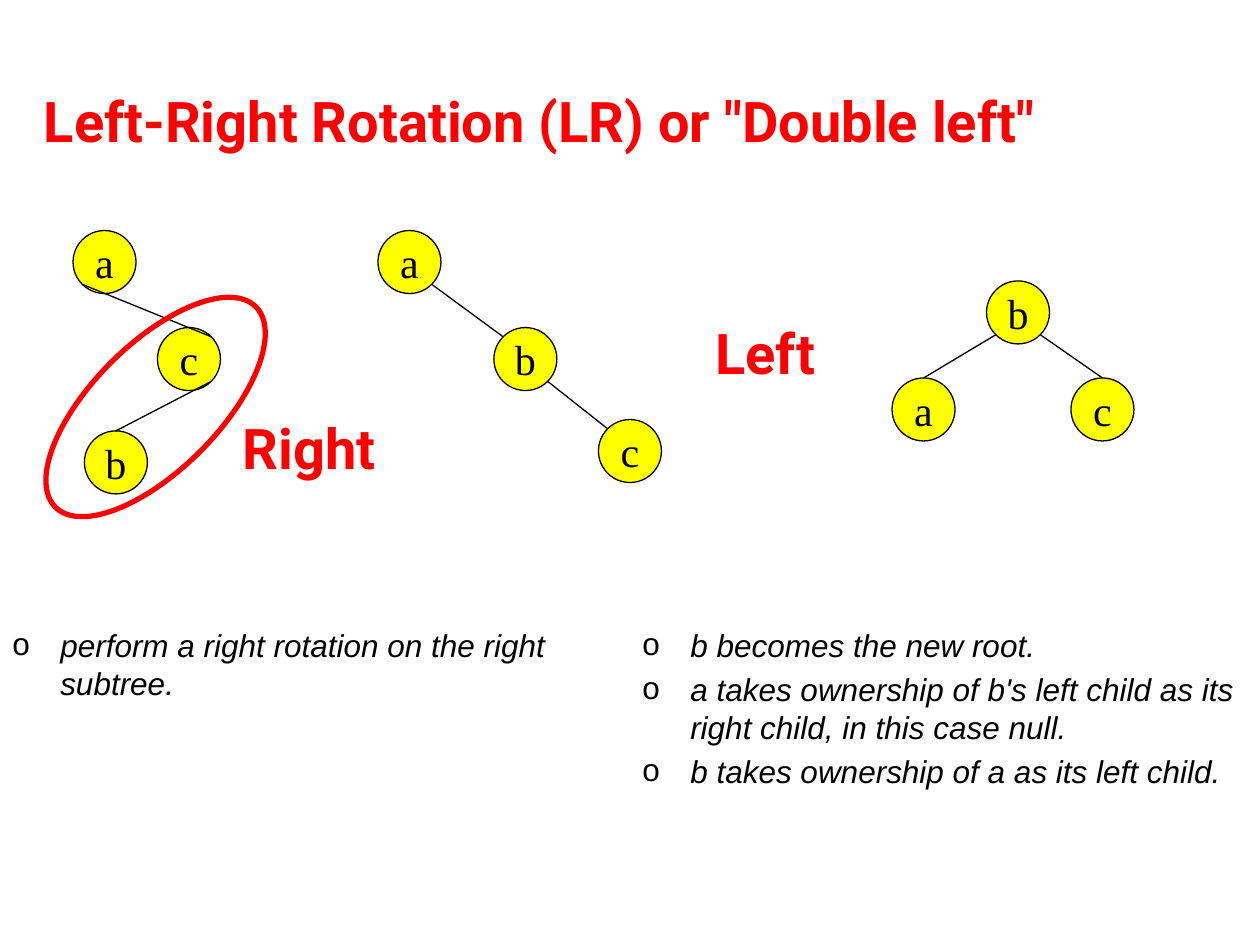
from math import sqrt
from pptx import Presentation
from pptx.dml.color import RGBColor
from pptx.enum.shapes import MSO_CONNECTOR, MSO_SHAPE
from pptx.enum.text import MSO_ANCHOR, PP_ALIGN
from pptx.oxml.ns import qn
from pptx.util import Inches, Pt
from lxml import etree

OVAL, LINE = MSO_SHAPE.OVAL, MSO_CONNECTOR.STRAIGHT
TOP, MIDDLE = MSO_ANCHOR.TOP, MSO_ANCHOR.MIDDLE
LEFT, CENTER, JUSTIFY = PP_ALIGN.LEFT, PP_ALIGN.CENTER, PP_ALIGN.JUSTIFY


class Theme:
    red = RGBColor(255, 0, 0)
    yellow = RGBColor(255, 255, 0)
    black = RGBColor(0, 0, 0)
    # font, size, colour, bold, italic
    head = ("Roboto", 32, red, True, False)
    body = ("Arial", 18, black, False, True)
    node = ("Times New Roman", 24, black, False, False)
    thin, thick = 0.75, 3
    size = 0.5      # node diameter
    indent = 0.38   # hanging indent of a bullet


class Board:
    def __init__(self, slide, theme):
        self.slide, self.theme = slide, theme

    def run(self, par, text, style):
        run = par.add_run()
        run.text = text
        font = run.font
        font.name, size, font.color.rgb, font.bold, font.italic = style
        font.size = Pt(size)

    def box(self, at, anchor):
        frame = self.slide.shapes.add_textbox(*map(Inches, at)).text_frame
        frame.word_wrap = True
        frame.vertical_anchor = anchor
        return frame

    def label(self, text, at, align=LEFT):
        par = self.box(at, MIDDLE).paragraphs[0]
        par.alignment = align
        self.run(par, text, self.theme.head)

    def bullets(self, items, at):
        frame = self.box(at, TOP)
        inset = Inches(self.theme.indent)
        for i, item in enumerate(items):
            par = frame.add_paragraph() if i else frame.paragraphs[0]
            par.space_before = Pt(self.theme.body[1] * 0.2)
            props = par._p.get_or_add_pPr()
            props.set("marL", str(inset))
            props.set("indent", str(-inset))
            etree.SubElement(props, qn("a:buFont")).set("typeface", "Arial")
            etree.SubElement(props, qn("a:buChar")).set("char", "o")
            self.run(par, item, self.theme.body)

    def oval(self, at, color, width, fill=None):
        shape = self.slide.shapes.add_shape(OVAL, *map(Inches, at))
        shape.shadow.inherit = False
        if fill is None:
            shape.fill.background()
        else:
            shape.fill.solid()
            shape.fill.fore_color.rgb = fill
        shape.line.color.rgb = color
        shape.line.width = Pt(width)
        return shape

    def node(self, name, x, y):
        look = self.theme
        shape = self.oval((x, y, look.size, look.size),
                          look.black, look.thin, look.yellow)
        frame = shape.text_frame
        frame.word_wrap = False
        frame.vertical_anchor = MIDDLE
        par = frame.paragraphs[0]
        par.alignment = CENTER
        self.run(par, name, look.node)

    def edge(self, start, end):
        line = self.slide.shapes.add_connector(LINE, *map(Inches, start + end))
        line.line.color.rgb = self.theme.black
        line.line.width = Pt(self.theme.thin)
        etree.SubElement(line._element.spPr, qn("a:effectLst"))

    def rim(self, spot, side):
        """Point on a node's rim in the direction side = (dx, dy)."""
        half = self.theme.size / 2
        scale = half / sqrt(side[0] ** 2 + side[1] ** 2)
        return tuple(p + half + d * scale for p, d in zip(spot, side))

    def tree(self, nodes, edges):
        for name, spot in nodes.items():
            self.node(name, *spot)
        for one, out, two, into in edges:
            self.edge(self.rim(nodes[one], out), self.rim(nodes[two], into))


deck = Presentation()
deck.slide_width, deck.slide_height = Inches(10), Inches(7.5)
board = Board(deck.slides.add_slide(deck.slide_layouts[6]), Theme)

# Title
board.label('Left-Right Rotation (LR) or "Double left"',
            (0.25, 0.58, 9, 0.75), JUSTIFY)

# Trees: before, after the right rotation, after the left rotation
N, NW, NE, SW, SE = (0, -1), (-1, -1), (1, -1), (-1, 1), (1, 1)
TREES = [
    ({"a": (0.58, 1.83), "b": (0.67, 3.42), "c": (1.25, 2.6)},
     [("a", SW, "c", NE), ("c", SE, "b", N)]),
    ({"a": (3, 1.83), "b": (3.92, 2.6), "c": (4.75, 3.33)},
     [("a", SE, "b", NW), ("b", SE, "c", NW)]),
    ({"b": (7.83, 2.23), "a": (7.08, 3), "c": (8.5, 3)},
     [("b", SW, "a", N), ("b", SE, "c", N)]),
]
for nodes, edges in TREES:
    board.tree(nodes, edges)

# Ring round the rotated subtree
ring = board.oval((0.11, 2.73, 2.25, 1), Theme.red, Theme.thick)
ring.rotation = 315

# Rotation names
board.label("Right", (1.83, 3.17, 2.17, 0.75))
board.label("Left", (5.58, 2.42, 2.17, 0.75))

# Steps
STEPS = [
    ["perform a right rotation on the right subtree."],
    ["b becomes the new root.",
     "a takes ownership of b's left child as its right child, "
     "in this case null.",
     "b takes ownership of a as its left child."],
]
for i, items in enumerate(STEPS):
    board.bullets(items, (5 * i, 4.92, 5.25, 2.37))

deck.save("out.pptx")
